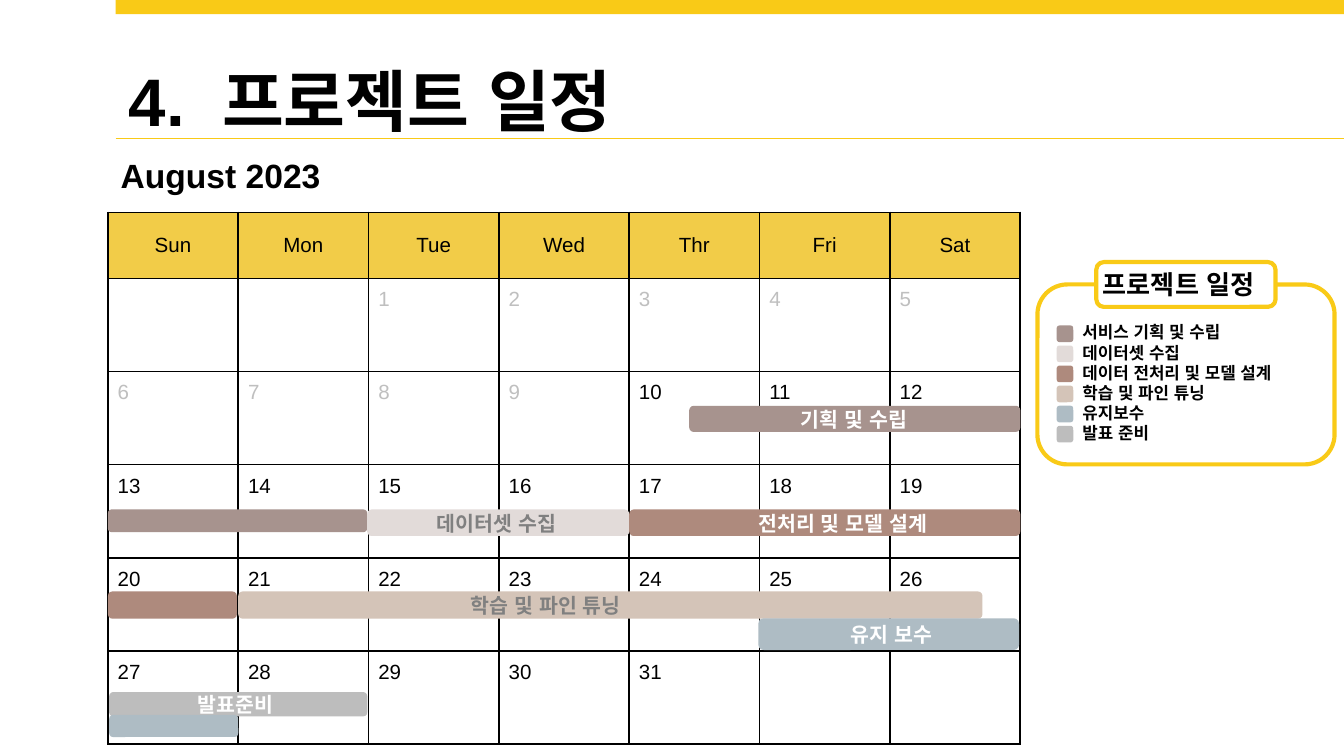
from lxml.etree import SubElement
from pptx import Presentation
from pptx.dml.color import RGBColor
from pptx.enum.shapes import MSO_CONNECTOR, MSO_SHAPE
from pptx.enum.text import MSO_ANCHOR, PP_ALIGN
from pptx.oxml.ns import qn
from pptx.util import Pt

TITLE = ("4.", " ", "프로젝트 일정")
MONTH = "August 2023"
LEGEND_TITLE = "프로젝트 일정"
WEEKDAYS = ["Sun", "Mon", "Tue", "Wed", "Thr", "Fri", "Sat"]
FIRST_COLUMN, LAST_DAY, FIRST_ACTIVE_DAY, WEEK_COUNT = 2, 31, 10, 5

TASKS = {
    "planning": ("서비스 기획 및 수립", "A7938E"),
    "dataset": ("데이터셋 수집", "E2DBD9"),
    "modelling": ("데이터 전처리 및 모델 설계", "AE8A7D"),
    "training": ("학습 및 파인 튜닝", "D4C4B8"),
    "maintenance": ("유지보수", "AEBCC4"),
    "presentation": ("발표 준비", "BDBDBD"),
}

BARS = [
    dict(task="planning", week=1, days=(4.46, 7), drop=18.4, height=14,
         label="기획 및 수립", label_left=422, color="white"),
    dict(task="planning", week=2, days=(0, 1.99), drop=24, height=12.2),
    dict(task="dataset", week=2, days=(1.99, 4), drop=24, height=14.2,
         label="데이터셋 수집", label_left=227, color="muted"),
    dict(task="modelling", week=2, days=(4, 7), drop=24, height=14.2,
         label="전처리 및 모델 설계", label_left=399, color="white"),
    dict(task="modelling", week=3, days=(0, 0.99), drop=18, height=14.6),
    dict(task="training", week=3, days=(1, 6.71), drop=18, height=14.6,
         label="학습 및 파인 튜닝", label_left=245, color="muted"),
    dict(task="maintenance", week=3, days=(4.99, 6.99), drop=32.4, height=17,
         label="유지 보수", label_left=448.6, color="white"),
    dict(task="presentation", week=4, days=(0.01, 1.99), drop=22, height=13,
         label="발표준비", label_left=98.6, color="white"),
    dict(task="maintenance", week=4, days=(0.01, 1), drop=34.3, height=11.8),
]

THEME = {
    "font": "Arial",
    "accent": "F9CA17", "header": "F2CC48", "black": "000000", "white": "FFFFFF",
    "past": "BFBFBF", "muted": "808080",
    "title": 36, "month": 18, "legend_title": 14, "body": 11, "legend": 9,
}

GRID_LEFT, GRID_TOP = 57.8, 113.8
COLUMN_WIDTH, HEADER_HEIGHT, WEEK_HEIGHT = 69.83, 35.3, 49.92
CELL_INSET = 5.25
LABEL_HEIGHT = 21


def rgb(name):
    return RGBColor.from_string(THEME.get(name, name))


def style_runs(paragraph, size, color, bold=False):
    for run in paragraph.runs:
        font = run.font
        font.size, font.bold, font.name = Pt(THEME[size]), bold, THEME["font"]
        font.color.rgb = rgb(color)
        SubElement(font._element, qn("a:ea"), typeface=THEME["font"])


def add_box(slide, kind, bounds, fill=None, line=None):
    shape = slide.shapes.add_shape(kind, *map(Pt, bounds))
    shape.shadow.inherit = False
    if fill:
        shape.fill.solid()
        shape.fill.fore_color.rgb = rgb(fill)
    else:
        shape.fill.background()
    if line:
        shape.line.color.rgb = rgb(line)
        shape.line.width = Pt(2.25)
    else:
        shape.line.fill.background()
    return shape


def add_text(slide, bounds, lines, size, color="black", wrap=True):
    shape = slide.shapes.add_textbox(*map(Pt, bounds))
    shape.text_frame.word_wrap = wrap
    shape.text_frame.text = "\n".join(lines)
    for paragraph in shape.text_frame.paragraphs:
        style_runs(paragraph, size, color, True)
    return shape


def add_title(slide):
    add_box(slide, MSO_SHAPE.RECTANGLE, (61.9, 0, 658.1, 7.6), "accent")
    shape = slide.shapes.add_textbox(Pt(61.9), Pt(28), Pt(283), Pt(51))
    shape.text_frame.word_wrap = False
    paragraph = shape.text_frame.paragraphs[0]
    for text in TITLE:
        paragraph.add_run().text = text
    style_runs(paragraph, "title", "black", True)
    paragraph.runs[1].font._element.set("spc", "1000")
    rule = slide.shapes.add_connector(MSO_CONNECTOR.STRAIGHT, Pt(61.9), Pt(74.2), Pt(720), Pt(74.2))
    rule.line.color.rgb = rgb("accent")
    rule.line.width = Pt(0.75)
    SubElement(rule._element.spPr, qn("a:effectLst"))


def style_cell(cell, text, color, header):
    cell.margin_left = cell.margin_right = cell.margin_top = cell.margin_bottom = Pt(CELL_INSET)
    properties = cell._tc.get_or_add_tcPr()
    for side in ("lnL", "lnR", "lnT", "lnB"):
        border = SubElement(properties, qn(f"a:{side}"), w=str(Pt(1)))
        SubElement(SubElement(border, qn("a:solidFill")), qn("a:srgbClr"), val=THEME["black"])
    cell.text_frame.text = text
    paragraph = cell.text_frame.paragraphs[0]
    style_runs(paragraph, "body", color)
    if header:
        cell.vertical_anchor = MSO_ANCHOR.MIDDLE
        paragraph.alignment = PP_ALIGN.CENTER
        cell.fill.solid()
        cell.fill.fore_color.rgb = rgb("header")
    else:
        cell.fill.background()


def add_calendar(slide):
    columns = len(WEEKDAYS)
    height = HEADER_HEIGHT + WEEK_COUNT * WEEK_HEIGHT
    table = slide.shapes.add_table(WEEK_COUNT + 1, columns, Pt(GRID_LEFT), Pt(GRID_TOP),
                                   Pt(COLUMN_WIDTH * columns), Pt(height)).table
    for column in table.columns:
        column.width = Pt(COLUMN_WIDTH)
    for index, row in enumerate(table.rows):
        row.height = Pt(WEEK_HEIGHT if index else HEADER_HEIGHT)
    for column, weekday in enumerate(WEEKDAYS):
        style_cell(table.cell(0, column), weekday, "black", True)
        for week in range(WEEK_COUNT):
            day = week * columns + column - FIRST_COLUMN + 1
            text = str(day) if 1 <= day <= LAST_DAY else ""
            color = "past" if day < FIRST_ACTIVE_DAY else "black"
            style_cell(table.cell(week + 1, column), text, color, False)


def add_bars(slide):
    labels = []
    for bar in BARS:
        start, end = bar["days"]
        top = GRID_TOP + HEADER_HEIGHT + bar["week"] * WEEK_HEIGHT + bar["drop"]
        bounds = (GRID_LEFT + start * COLUMN_WIDTH, top, (end - start) * COLUMN_WIDTH, bar["height"])
        add_box(slide, MSO_SHAPE.ROUNDED_RECTANGLE, bounds, TASKS[bar["task"]][1])
        if "label" in bar:
            labels.append((bar, top + (bar["height"] - LABEL_HEIGHT) / 2 + 0.5))
    for bar, top in labels:
        add_text(slide, (bar["label_left"], top, 118, LABEL_HEIGHT), [bar["label"]], "body", bar["color"])


def add_legend(slide):
    add_box(slide, MSO_SHAPE.ROUNDED_RECTANGLE, (555.8, 152.4, 159.2, 96.4), line="accent")
    shape = add_text(slide, (572.8, 167.3, 147.2, 76.5), [name for name, _ in TASKS.values()], "legend")
    shape.text_frame.margin_top = shape.text_frame.margin_bottom = Pt(CELL_INSET)
    for index, (_, color) in enumerate(TASKS.values()):
        add_box(slide, MSO_SHAPE.ROUNDED_RECTANGLE, (566.1, 174.4 + index * 10.75, 8.9, 8.9), color)
    add_box(slide, MSO_SHAPE.ROUNDED_RECTANGLE, (587.3, 140.4, 96, 24), "white", "accent")
    add_text(slide, (583.6, 140.2, 104, 24.2), [LEGEND_TITLE], "legend_title")


def main():
    presentation = Presentation()
    presentation.slide_width, presentation.slide_height = Pt(720), Pt(405)
    slide = presentation.slides.add_slide(presentation.slide_layouts[6])
    add_title(slide)
    add_text(slide, (57.6, 79.2, 152.6, 29), [MONTH], "month")
    add_calendar(slide)
    add_bars(slide)
    add_legend(slide)
    presentation.save("out.pptx")


if __name__ == "__main__":
    main()
